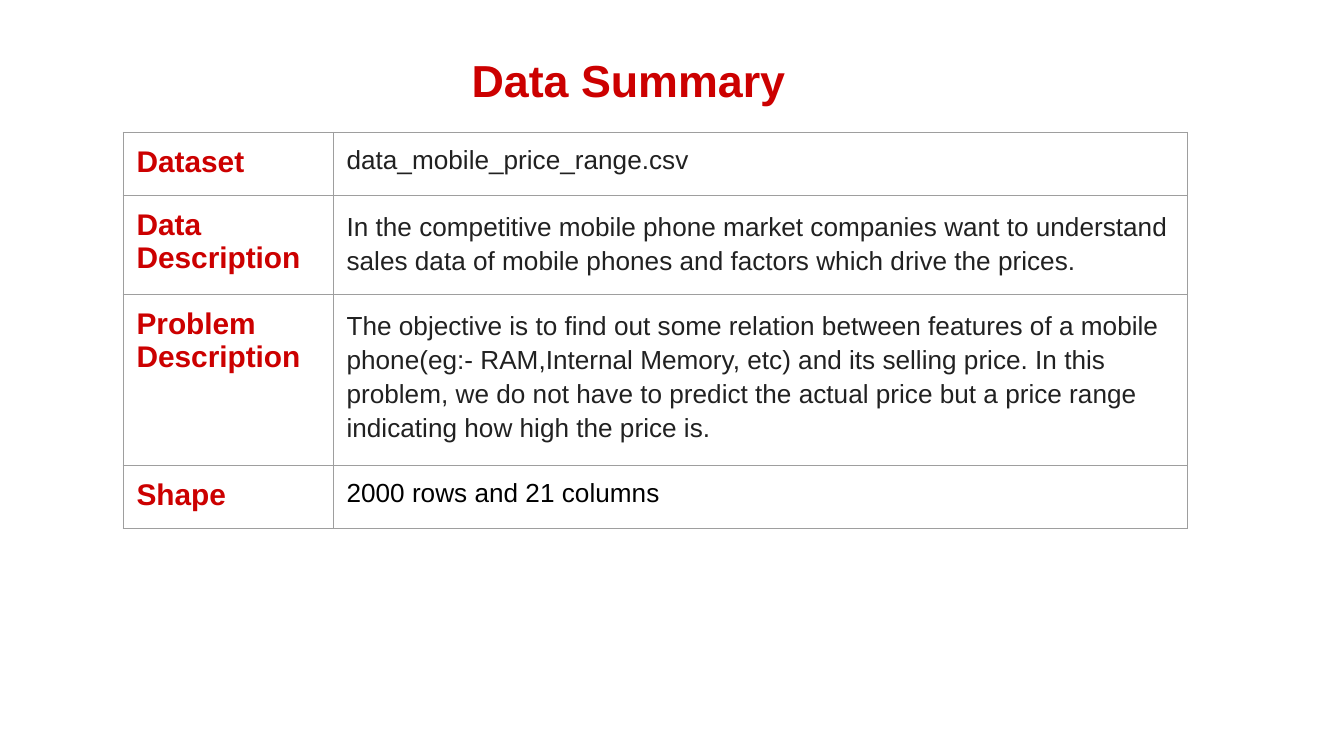
from lxml import etree
from pptx import Presentation
from pptx import util as u
from pptx.dml.color import RGBColor
from pptx.enum import text
from pptx.oxml.ns import qn

Pt = u.Pt
COLORS = {"red": "CC0000", "body": "212121", "black": "000000", "border": "9E9E9E"}
HEADING = {"size": Pt(16), "bold": True}
BODY = {"size": Pt(14), "bold": False}


def write(paragraph, words, color, style):
    run = paragraph.add_run()
    run.text = words
    for name, value in {"name": "Arial", **style}.items():
        setattr(run.font, name, value)
    run.font.color.rgb = RGBColor.from_string(COLORS[color])


def draw_borders(cell):
    properties = cell._tc.get_or_add_tcPr()
    for index, side in enumerate(("lnL", "lnR", "lnT", "lnB")):
        line = etree.Element(qn(f"a:{side}"), w=str(Pt(0.75)))
        fill = etree.SubElement(line, qn("a:solidFill"))
        etree.SubElement(fill, qn("a:srgbClr"), val=COLORS["border"])
        properties.insert(index, line)


deck = Presentation()
deck.slide_width, deck.slide_height = Pt(720), Pt(405)
slide = deck.slides.add_slide(deck.slide_layouts[6])

# Title, indented from the left edge of its box
title = slide.shapes.add_textbox(Pt(29.5), Pt(24.5), Pt(553.7), Pt(36)).text_frame
title.word_wrap = True
heading = title.paragraphs[0]
indent = heading._p.get_or_add_pPr()
indent.set("marL", str(Pt(216)))
indent.set("indent", "0")
write(heading, "Data Summary", "red", {"size": Pt(24), "bold": True})

# Summary rows: label, detail, detail colour, line spacing, row height
summary = [
    ("Dataset", "data_mobile_price_range.csv", "body", 1, 33.6),
    ("Data Description",
     "In the competitive mobile phone market companies want to understand sales "
     "data of mobile phones and factors which drive the prices.",
     "body", 1.15, 53),
    ("Problem Description",
     "The objective is to find out some relation between features of a mobile "
     "phone(eg:- RAM,Internal Memory, etc) and its selling price. In this problem, "
     "we do not have to predict the actual price but a price range indicating how "
     "high the price is.",
     "body", 1.15, 91.6),
    ("Shape", "2000 rows and 21 columns", "black", 1, 33.4),
]
column_widths = (112.5, 457.5)
cell_format = {
    "margin_left": Pt(7.2), "margin_right": Pt(7.2),
    "margin_top": Pt(7.2), "margin_bottom": Pt(7.2),
    "vertical_anchor": text.MSO_ANCHOR.TOP,
}

# Summary table
table_height = sum(row[-1] for row in summary)
table = slide.shapes.add_table(len(summary), len(column_widths), Pt(66), Pt(71),
                               Pt(sum(column_widths)), Pt(table_height)).table
table.first_row = table.horz_banding = False
for column, width in zip(table.columns, column_widths):
    column.width = Pt(width)

for row, (label, detail, color, spacing, height) in zip(table.rows, summary):
    row.height = Pt(height)
    label_cell, detail_cell = row.cells
    for cell in (label_cell, detail_cell):
        for name, value in cell_format.items():
            setattr(cell, name, value)
        cell.fill.background()
        draw_borders(cell)
    write(label_cell.text_frame.paragraphs[0], label, "red", HEADING)
    description = detail_cell.text_frame.paragraphs[0]
    description.line_spacing = spacing
    write(description, detail, color, BODY)

deck.save("out.pptx")
